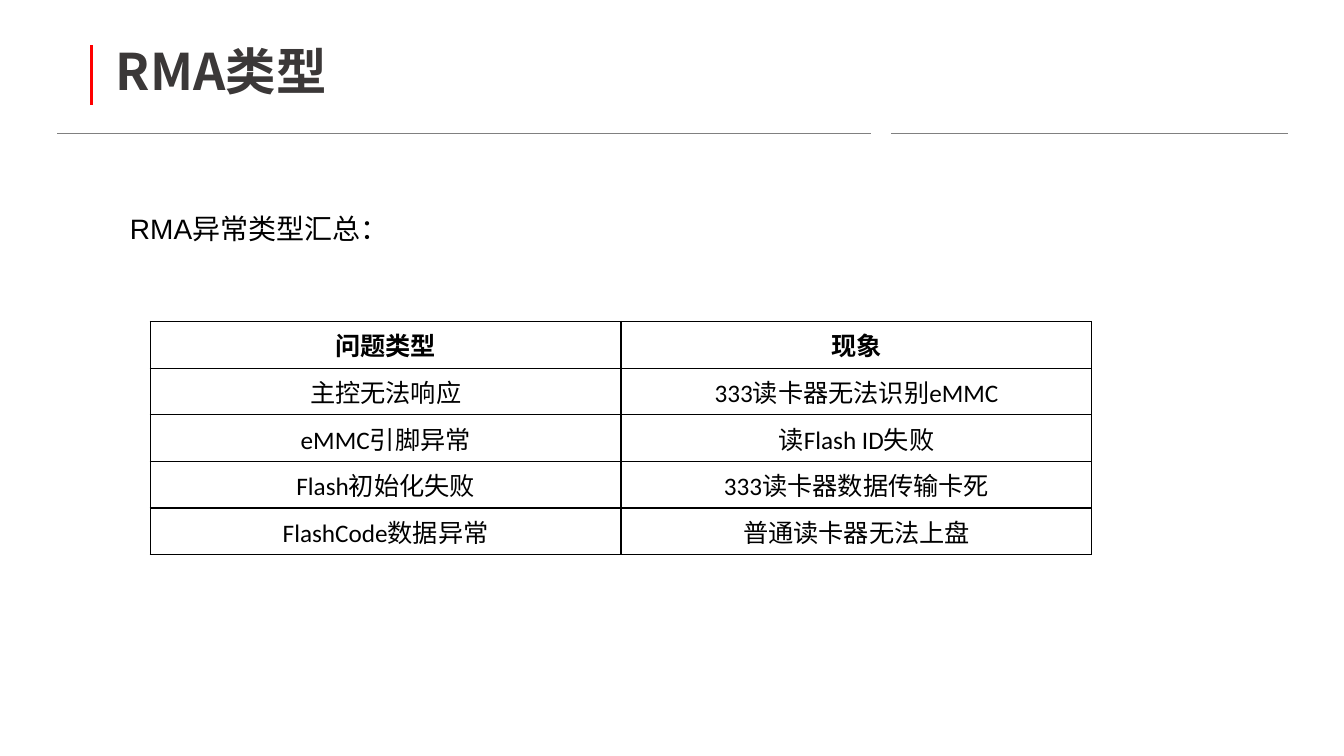
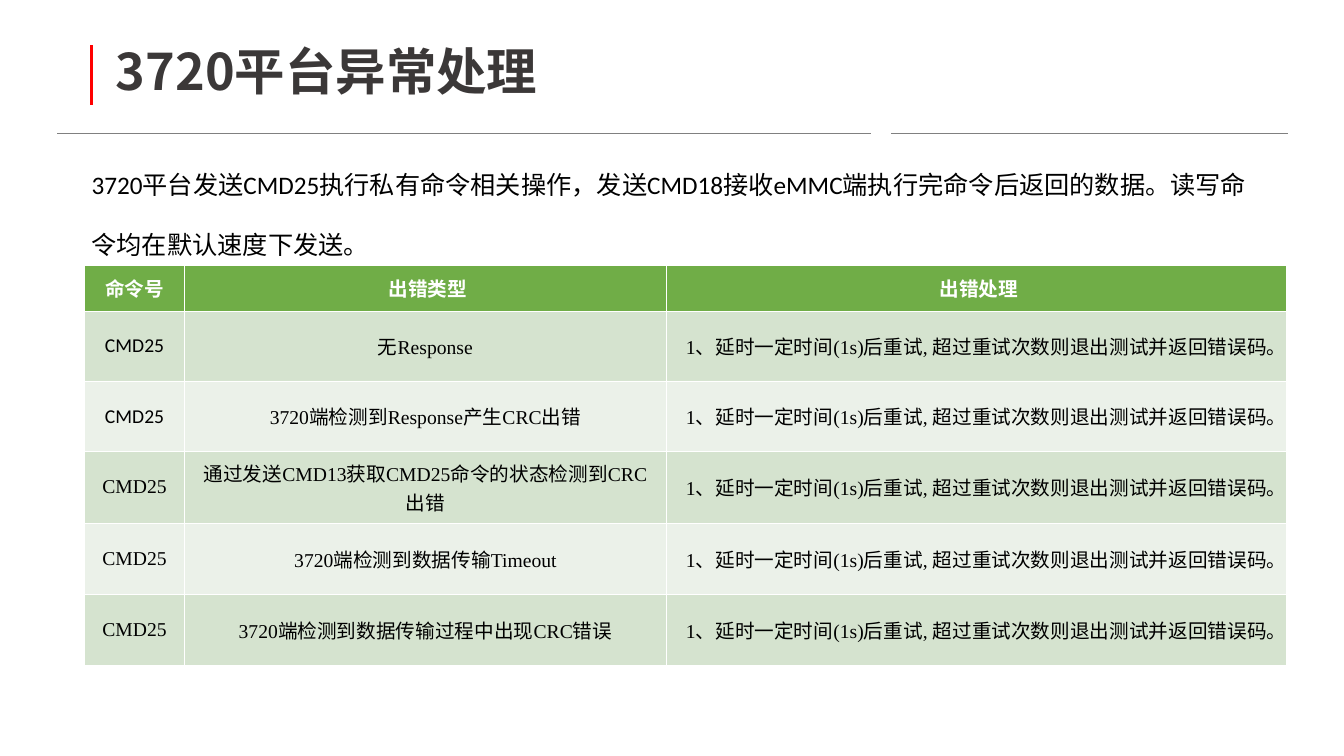
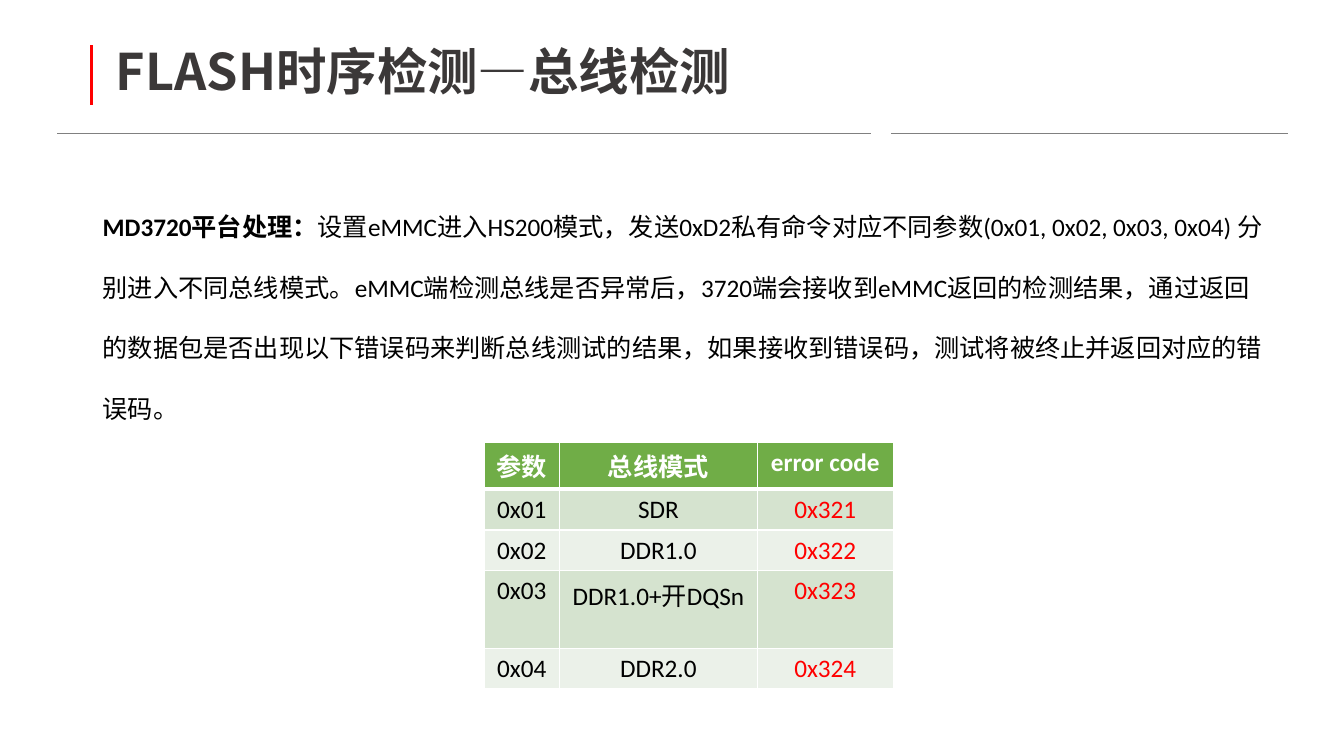
import pptx
import pptx.util
import pptx.dml.color
import pptx.enum.shapes
import pptx.enum.text
import pptx.oxml
import pptx.oxml.ns

Inches, Pt = pptx.util.Inches, pptx.util.Pt
ALIGN, ANCHOR = pptx.enum.text.PP_ALIGN, pptx.enum.text.MSO_ANCHOR

CJK = "Noto Sans CJK SC"
BLACK, WHITE, RED = "000000", "FFFFFF", "FF0000"
GREEN, BANDS = "70AD47", ("D5E3CF", "EBF1E9")
TITLE_BOX = (1.05, 0.23, 11.5, 1.02)
RULES = [
    ((0.57, 1.32), (8.64, 1.32), "808080", 0.5),
    ((8.84, 1.32), (12.77, 1.32), "808080", 0.5),
    ((0.91, 0.45), (0.91, 1.04), RED, 2.25),
]

RETRY = "1、延时一定时间(1s)后重试, 超过重试次数则退出测试并返回错误码。"
ERRORS = [
    "无Response",
    "3720端检测到Response产生CRC出错",
    "通过发送CMD13获取CMD25命令的状态检测到CRC出错",
    "3720端检测到数据传输Timeout",
    "3720端检测到数据传输过程中出现CRC错误",
]

SLIDES = [
    {
        "title": "RMA类型",
        "body": {
            "box": (1.19, 2.05, 9.19, 3.79), "size": 20, "font": "Arial",
            "align": ALIGN.JUSTIFY, "spacing": 1,
            "runs": [("RMA异常类型汇总：", False)],
        },
        "table": {
            "at": (1.49, 3.19), "cols": (4.67, 4.67), "heights": [0.42] * 5,
            "size": 18, "anchor": ANCHOR.MIDDLE, "border": (BLACK, 1),
            "rows": [
                ("问题类型", "现象"),
                ("主控无法响应", "333读卡器无法识别eMMC"),
                ("eMMC引脚异常", "读Flash ID失败"),
                ("Flash初始化失败", "333读卡器数据传输卡死"),
                ("FlashCode数据异常", "普通读卡器无法上盘"),
            ],
        },
    },
    {
        "title": "3720平台异常处理",
        "body": {
            "box": (0.81, 1.33, 11.82, 5.08), "size": 18, "font": "Calibri",
            "align": ALIGN.LEFT, "spacing": 2,
            "runs": [("3720平台发送CMD25执行私有命令相关操作，发送CMD18接收eMMC端执行完"
                      "命令后返回的数据。读写命令均在默认速度下发送。", False)],
        },
        "table": {
            "at": (0.84, 2.63), "cols": (0.99, 4.78, 6.15),
            "heights": (0.46, 0.69, 0.7, 0.71, 0.71, 0.7),
            "size": 14, "anchor": ANCHOR.MIDDLE, "border": (WHITE, 0.75),
            "banded": True, "font": "Times New Roman",
            "calibri_cells": [(1, 0), (2, 0)],
            "rows": [("命令号", " 出错类型", " 出错处理")]
            + [("CMD25", error, RETRY) for error in ERRORS],
        },
    },
    {
        "title": "FLASH时序检测—总线检测",
        "body": {
            "box": (0.92, 1.75, 11.82, 5.28), "size": 18, "font": "Calibri",
            "align": ALIGN.LEFT, "spacing": 2,
            "runs": [
                ("MD3720平台处理：", True),
                ("设置eMMC进入HS200模式，发送0xD2私有命令对应不同参数(0x01, 0x02, 0x03, 0x04) "
                 "分别进入不同总线模式。eMMC端检测总线是否异常后，3720端会接收到eMMC返回的检测结果，"
                 "通过返回的数据包是否出现以下错误码来判断总线测试的结果，如果接收到错误码，"
                 "测试将被终止并返回对应的错误码。", False),
            ],
        },
        "table": {
            "at": (4.8, 4.39), "cols": (0.75, 1.96, 1.35), "heights": [0.4] * 5,
            "size": 18, "anchor": ANCHOR.TOP, "border": (WHITE, 1),
            "banded": True, "header_rule": 3, "red_column": 2,
            "rows": [
                ("参数", "总线模式", "error code"),
                ("0x01", "SDR", "0x321"),
                ("0x02", "DDR1.0", "0x322"),
                ("0x03", "DDR1.0+开DQSn", "0x323"),
                ("0x04", "DDR2.0", "0x324"),
            ],
        },
    },
]


def rgb(value):
    return pptx.dml.color.RGBColor.from_string(value)


def format_run(r, size, font, color, bold):
    r.font.size = Pt(size)
    r.font.bold = bold
    r.font.color.rgb = rgb(color)
    r.font.name = font
    ea = pptx.oxml.parse_xml(f'<a:ea {pptx.oxml.ns.nsdecls("a")} typeface="{CJK}"/>')
    r.font._element.find(pptx.oxml.ns.qn("a:latin")).addnext(ea)


def place(sp, box):
    sp.left, sp.top, sp.width, sp.height = map(Inches, box)


def add_rules(slide, layout):
    for i, (start, end, color, width) in enumerate(RULES):
        line = slide.shapes.add_connector(
            pptx.enum.shapes.MSO_CONNECTOR.STRAIGHT, *map(Inches, start + end))
        line.line.color.rgb = rgb(color)
        line.line.width = Pt(width)
        line.element.spPr.append(
            pptx.oxml.parse_xml(f'<a:effectLst {pptx.oxml.ns.nsdecls("a")}/>'))
        line.element.xpath(".//p:cNvPr")[0].set("id", str(20 + i))
        layout.shapes.element.append(line.element)


def add_title(slide, text):
    tf = slide.shapes.title.text_frame
    tf.text = text
    tf.vertical_anchor = ANCHOR.MIDDLE
    p = tf.paragraphs[0]
    p.alignment = ALIGN.LEFT
    p.line_spacing = 0.9
    format_run(p.runs[0], 36, CJK, "3B3838", True)


def add_body(slide, body):
    sp = slide.shapes.add_shape(
        pptx.enum.shapes.MSO_SHAPE.RECTANGLE, *map(Inches, body["box"]))
    sp.shadow.inherit = False
    sp.fill.solid()
    sp.fill.fore_color.rgb = rgb(WHITE)
    sp.line.fill.background()
    tf = sp.text_frame
    tf.word_wrap = True
    tf.vertical_anchor = ANCHOR.TOP
    p = tf.paragraphs[0]
    p.alignment = body["align"]
    p.line_spacing = body["spacing"]
    for text, bold in body["runs"]:
        r = p.add_run()
        r.text = text
        format_run(r, body["size"], body["font"], BLACK, bold)


def set_borders(cell, color, widths):
    for side, width in widths.items():
        cell._tc.get_or_add_tcPr().append(pptx.oxml.parse_xml(
            f'<a:ln{side} {pptx.oxml.ns.nsdecls("a")} w="{Pt(width)}">'
            f'<a:solidFill><a:srgbClr val="{color}"/></a:solidFill></a:ln{side}>'))


def add_table(slide, spec):
    rows, cols, heights = spec["rows"], spec["cols"], spec["heights"]
    size = (sum(cols), sum(heights))
    table = slide.shapes.add_table(
        len(rows), len(cols), *map(Inches, spec["at"] + size)).table
    table.first_row = table.horz_banding = False
    for column, width in zip(table.columns, cols):
        column.width = Inches(width)
    for row, height in zip(table.rows, heights):
        row.height = Inches(height)
    banded = spec.get("banded", False)
    color, width = spec["border"]
    header_rule = spec.get("header_rule", width)
    for i, texts in enumerate(rows):
        header = i == 0
        for j, text in enumerate(texts):
            cell = table.cell(i, j)
            set_borders(cell, color, {
                "L": width, "R": width,
                "T": header_rule if i == 1 else width,
                "B": header_rule if header else width})
            if banded:
                cell.fill.solid()
                cell.fill.fore_color.rgb = rgb(GREEN if header else BANDS[(i - 1) % 2])
            else:
                cell.fill.background()
            cell.vertical_anchor = spec["anchor"]
            cell.text_frame.text = text
            p = cell.text_frame.paragraphs[0]
            p.alignment = ALIGN.CENTER
            calibri = header or (i, j) in spec.get("calibri_cells", [])
            font = "Calibri" if calibri else spec.get("font", "Calibri")
            ink = BLACK
            if header and banded:
                ink = WHITE
            elif j == spec.get("red_column"):
                ink = RED
            format_run(p.runs[0], spec["size"], font, ink, header)


def main():
    prs = pptx.Presentation()
    prs.slide_width, prs.slide_height = Inches(13.33), Inches(7.5)
    layout = prs.slide_layouts[5]
    place(layout.placeholders[0], TITLE_BOX)
    for content in SLIDES:
        slide = prs.slides.add_slide(layout)
        if content is SLIDES[0]:
            add_rules(slide, layout)
        add_body(slide, content["body"])
        add_title(slide, content["title"])
        add_table(slide, content["table"])
    prs.save("out.pptx")


if __name__ == "__main__":
    main()
